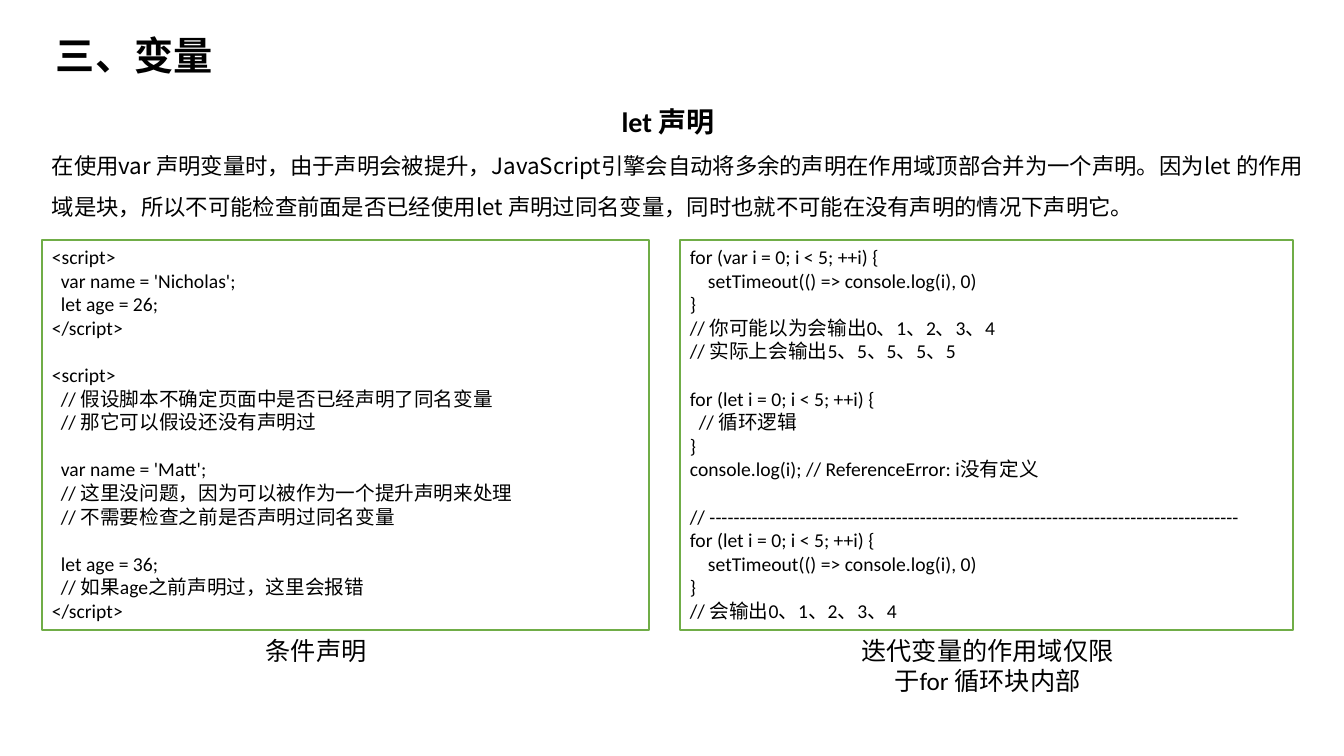
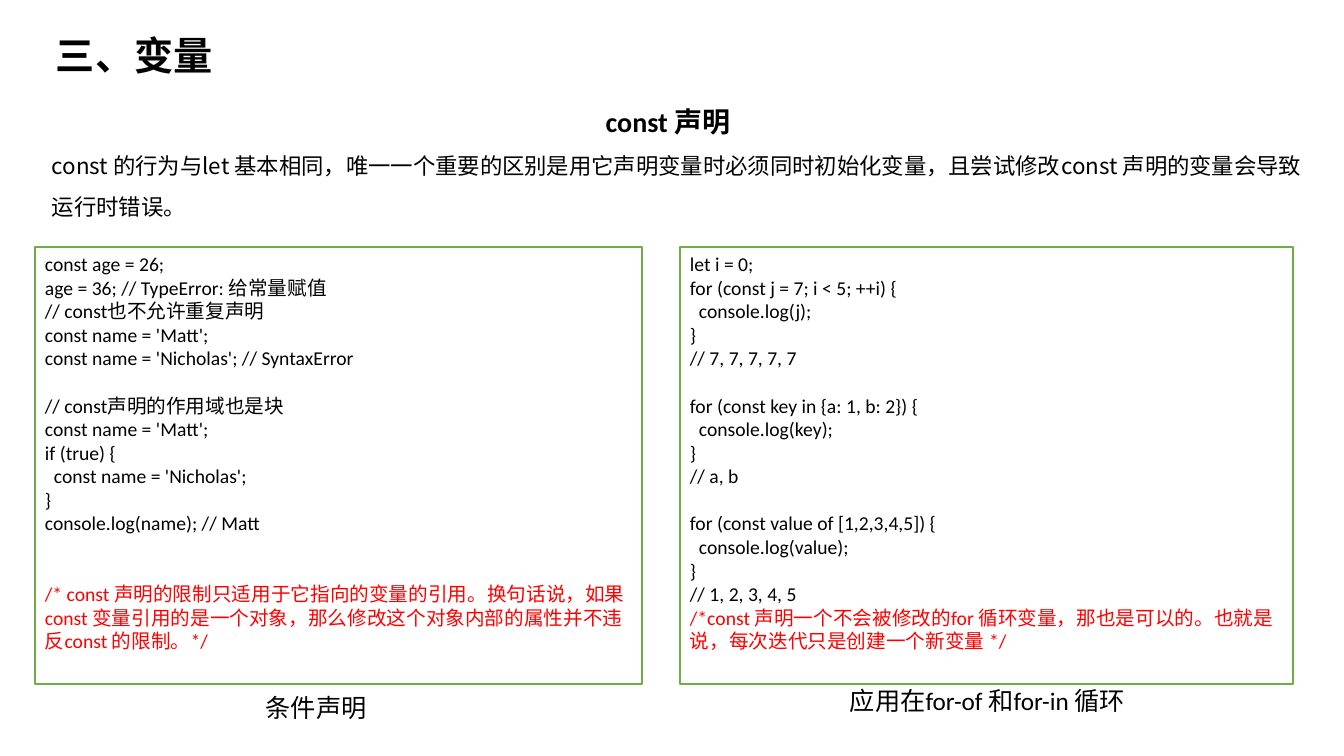
from collections import namedtuple

from lxml.etree import SubElement
from pptx import Presentation
from pptx.dml.color import RGBColor
from pptx.enum.shapes import MSO_SHAPE as Shape
from pptx.enum.text import MSO_ANCHOR as Anchor, PP_ALIGN as Align
from pptx.oxml.ns import qn
from pptx.util import Pt

PIXEL = 914400 / 100.8
COLORS = {"text": "000000", "paper": "FFFFFF", "frame": "70AD47", "warning": "FF0000"}
LATIN, CHINESE = "Calibri", "Noto Sans CJK SC"
CODE_LINE = 17  # points
SPACE_WIDTH = 4.5  # pixels per leading space of code

Box = namedtuple("Box", "left top width height")

TITLE_BOX = Box(46, 26, 407, 57)
HEADING_BOX = Box(35, 100, 1266, 44)
INTRO_BOX = Box(42, 134, 1282, 92)


def px(length):
    """Turn pixels into EMU."""
    return round(length * PIXEL)


def color(name):
    """Look up a colour by its role."""
    return RGBColor.from_string(COLORS[name])


def style(para, size, font=LATIN, tone="text", bold=False, align=Align.LEFT):
    """Set alignment and font of a whole paragraph."""
    para.alignment = align
    para.font.size = Pt(size)
    para.font.bold = bold
    para.font.color.rgb = color(tone)
    para.font.name = font
    SubElement(para.font._element, qn("a:ea"), typeface=CHINESE)


def add_text(page, box, text, size, spacing=1, **look):
    """Place one wrapped paragraph in a text box."""
    frame = page.shapes.add_textbox(*map(px, box)).text_frame
    frame.word_wrap = True
    para = frame.paragraphs[0]
    para.text = text
    para.line_spacing = spacing
    style(para, size, **look)


def add_code(page, box, code):
    """Draw a framed listing; empty lines become spacing, leading spaces indents."""
    panel = page.shapes.add_shape(Shape.RECTANGLE, *map(px, box))
    panel.shadow.inherit = False
    panel.fill.solid()
    panel.fill.fore_color.rgb = color("paper")
    panel.line.color.rgb = color("frame")
    panel.line.width = Pt(1)
    frame = panel.text_frame
    frame.word_wrap = True
    frame.vertical_anchor = Anchor.TOP
    para, gap = None, 0
    for line in code.strip().splitlines():
        text = line.lstrip()
        if not text:
            gap += CODE_LINE
            continue
        para = frame.add_paragraph() if para is not None else frame.paragraphs[0]
        para.text = text
        para.space_before = Pt(gap)
        indent = px((len(line) - len(text)) * SPACE_WIDTH)
        para._p.get_or_add_pPr().set("marL", str(indent))
        style(para, 14, tone="warning" if text.startswith("/*") else "text")
        gap = 0


def add_example(page, box, code, caption, caption_box):
    """Place a listing and its caption, whose box is relative to the listing's foot."""
    add_code(page, box, code)
    left, drop, width, height = caption_box
    place = Box(box.left + left, box.top + box.height + drop, width, height)
    add_text(page, place, caption, 18, align=Align.CENTER)


def add_page(deck, heading, intro, examples):
    """Build a page with title, heading, introduction and examples."""
    page = deck.slides.add_slide(deck.slide_layouts[6])
    add_text(page, TITLE_BOX, "三、变量", 28, bold=True)
    add_text(page, HEADING_BOX, heading, 20, bold=True, align=Align.CENTER)
    add_text(page, INTRO_BOX, intro, 16, spacing=1.5, font=CHINESE)
    for example in examples:
        add_example(page, *example)


LET_CONDITION = """
<script>
  var name = 'Nicholas';
  let age = 26;
</script>

<script>
  // 假设脚本不确定页面中是否已经声明了同名变量
  // 那它可以假设还没有声明过

  var name = 'Matt';
  // 这里没问题，因为可以被作为一个提升声明来处理
  // 不需要检查之前是否声明过同名变量

  let age = 36;
  // 如果age之前声明过，这里会报错
</script>
"""

LET_LOOP = """
for (var i = 0; i < 5; ++i) {
    setTimeout(() => console.log(i), 0)
}
// 你可能以为会输出0、1、2、3、4
// 实际上会输出5、5、5、5、5

for (let i = 0; i < 5; ++i) {
  // 循环逻辑
}
console.log(i); // ReferenceError: i没有定义

// """ + "-" * 88 + """
for (let i = 0; i < 5; ++i) {
    setTimeout(() => console.log(i), 0)
}
// 会输出0、1、2、3、4
"""

CONST_CONDITION = """
const age = 26;
age = 36; // TypeError: 给常量赋值
// const也不允许重复声明
const name = 'Matt';
const name = 'Nicholas'; // SyntaxError

// const声明的作用域也是块
const name = 'Matt';
if (true) {
  const name = 'Nicholas';
}
console.log(name); // Matt


/* const 声明的限制只适用于它指向的变量的引用。换句话说，如果const 变量引用的是一个对象，那么修改这个对象内部的属性并不违反const 的限制。*/
"""

CONST_LOOP = """
let i = 0;
for (const j = 7; i < 5; ++i) {
  console.log(j);
}
// 7, 7, 7, 7, 7

for (const key in {a: 1, b: 2}) {
  console.log(key);
}
// a, b

for (const value of [1,2,3,4,5]) {
  console.log(value);
}
// 1, 2, 3, 4, 5
/*const 声明一个不会被修改的for 循环变量，那也是可以的。也就是说，每次迭代只是创建一个新变量 */
"""

deck = Presentation()
deck.slide_width, deck.slide_height = px(1344), px(756)

add_page(
    deck,
    "let 声明",
    "在使用var 声明变量时，由于声明会被提升，JavaScript引擎会自动将多余的声明在作用域顶部合并为一个声明。"
    "因为let 的作用域是块，所以不可能检查前面是否已经使用let 声明过同名变量，"
    "同时也就不可能在没有声明的情况下声明它。",
    [
        (Box(42, 240, 607, 390), LET_CONDITION, "条件声明", Box(191, 0, 166, 40)),
        (Box(680, 240, 613, 390), LET_LOOP, "迭代变量的作用域仅限于for 循环块内部",
         Box(159, 0, 297, 72)),
    ],
)
add_page(
    deck,
    "const 声明",
    "const 的行为与let 基本相同，唯一一个重要的区别是用它声明变量时必须同时初始化变量，"
    "且尝试修改const 声明的变量会导致运行时错误。",
    [
        (Box(35, 247, 607, 437), CONST_CONDITION, "条件声明", Box(198, 3, 166, 40)),
        (Box(680, 247, 613, 437), CONST_LOOP, "应用在for-of 和for-in 循环",
         Box(159, -4, 297, 40)),
    ],
)

deck.save("out.pptx")
